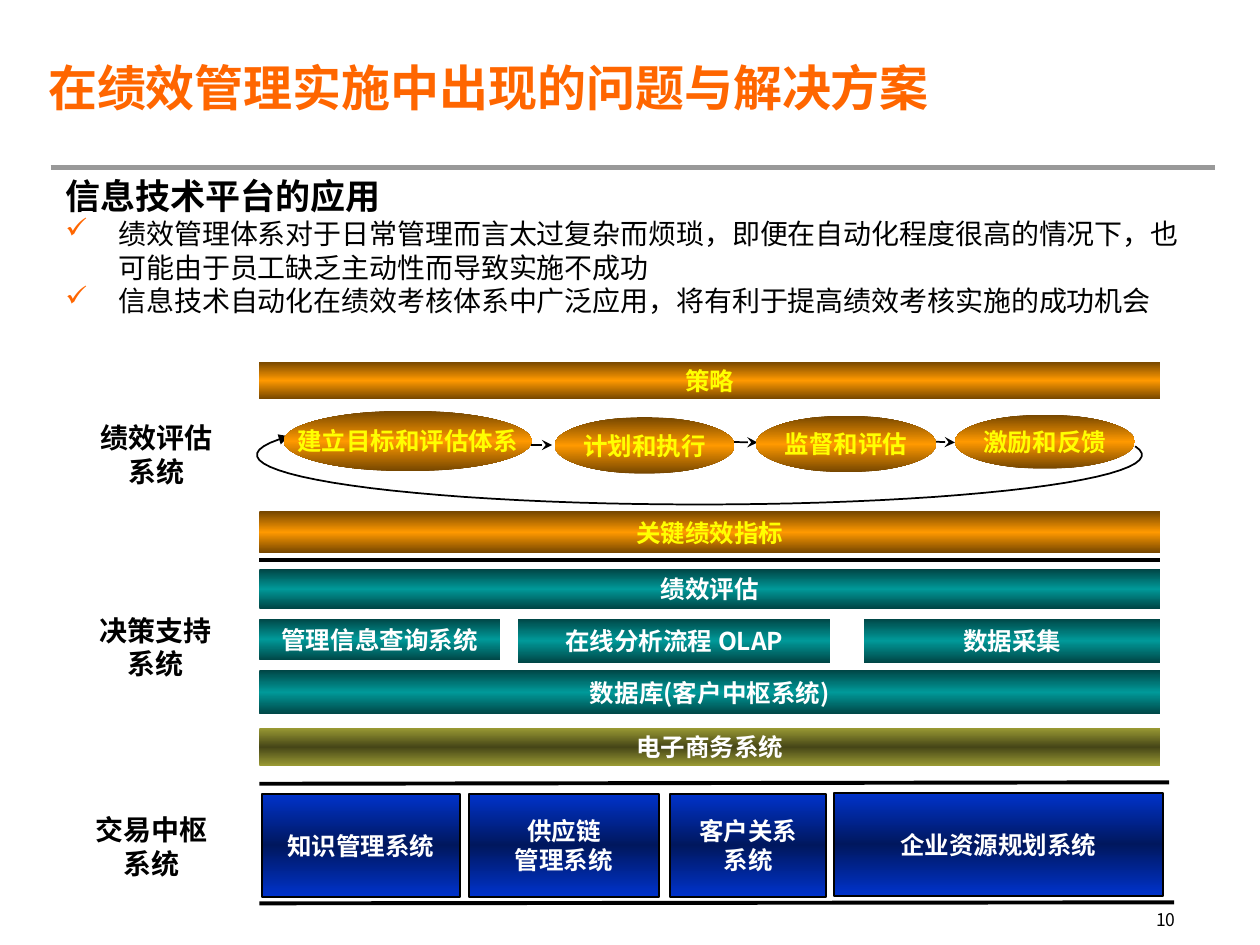
import copy
import math
from dataclasses import dataclass

import pptx
import pptx.dml.color
import pptx.enum.shapes
import pptx.enum.text
import pptx.oxml.ns
import pptx.util
from lxml import etree
from pptx.util import Cm, Pt

SHAPE = pptx.enum.shapes.MSO_SHAPE
ALIGN = pptx.enum.text.PP_ALIGN
ANCHOR = pptx.enum.text.MSO_ANCHOR
qn = pptx.oxml.ns.qn


@dataclass(frozen=True)
class Theme:
    font: str = "Noto Sans CJK SC"
    latin: str = "Arial"
    accent: str = "FF6600"
    rule: str = "999999"
    ink: str = "000000"
    white: str = "FFFFFF"
    yellow: str = "FFFF00"
    orange: tuple = ("754600", "FF9900", "754600")
    teal: tuple = ("004646", "009999", "004646")
    olive: tuple = ("999933", "464617", "999933")
    blue: tuple = ("0033CC", "00175E", "0033CC")
    title_size: int = 28
    heading_size: int = 20
    body_size: int = 16
    block_size: int = 14
    number_size: int = 10


THEME = Theme()
BAND_LEFT, BAND_WIDTH = 5.23, 18.16


def rgb(value):
    return pptx.dml.color.RGBColor.from_string(value)


def write(frame, text, *, size, color=THEME.ink, bold=False, font=THEME.font,
          align=None, anchor=ANCHOR.TOP, wrap=True):
    """Fill a text frame, one paragraph for each line of text."""
    frame.word_wrap = wrap
    frame.vertical_anchor = anchor
    frame.text = text
    for para in frame.paragraphs:
        para.alignment = align
        para.space_before = Pt(0)
        for span in para.runs:
            style_span(span, size, color, bold, font)


def style_span(span, size, color, bold, font):
    span.font.size = Pt(size)
    span.font.bold = bold
    span.font.name = font
    span.font.color.rgb = rgb(color)
    east_asian = etree.SubElement(span.font._element, qn("a:ea"))
    east_asian.set("typeface", THEME.font)


def add_text(slide, left, top, width, height, text, **style):
    box = slide.shapes.add_textbox(Cm(left), Cm(top), Cm(width), Cm(height))
    write(box.text_frame, text, **style)
    return box


def hang(para, bullet=None):
    """Give a paragraph a hanging indent and, if wanted, a bullet."""
    props = para._p.get_or_add_pPr()
    props.set("marL", str(Cm(1.07)))
    props.set("indent", str(-Cm(1.07)))
    if bullet:
        color = etree.SubElement(props, qn("a:buClr"))
        etree.SubElement(color, qn("a:srgbClr")).set("val", THEME.accent)
        etree.SubElement(props, qn("a:buChar")).set("char", bullet)


def fill_gradient(shape, colors):
    """Blend three colours evenly from top to bottom."""
    shape.fill.gradient()
    shape.fill.gradient_angle = 270
    stop_list = shape._element.spPr.find(".//" + qn("a:gsLst"))
    stop_list.insert(1, copy.deepcopy(stop_list[0]))
    for index, (stop, color) in enumerate(zip(shape.fill.gradient_stops, colors)):
        stop.position = index / 2
        stop.color.rgb = rgb(color)


def add_block(slide, left, top, width, height, text, colors,
              kind=SHAPE.RECTANGLE, color=THEME.white, outlined=False):
    block = slide.shapes.add_shape(kind, Cm(left), Cm(top), Cm(width), Cm(height))
    block.shadow.inherit = False
    fill_gradient(block, colors)
    if outlined:
        block.line.color.rgb = rgb(THEME.ink)
        block.line.width = Pt(1)
    else:
        block.line.fill.background()
    write(block.text_frame, text, size=THEME.block_size, color=color, bold=True,
          align=ALIGN.CENTER, anchor=ANCHOR.MIDDLE, wrap=False)


def add_arrowhead(shape, kind):
    etree.SubElement(shape.line._get_or_add_ln(), qn("a:tailEnd")).set("type", kind)


def add_line(slide, x1, y1, x2, y2, width, color=THEME.ink, head=None):
    line = slide.shapes.add_connector(
        pptx.enum.shapes.MSO_CONNECTOR.STRAIGHT, Cm(x1), Cm(y1), Cm(x2), Cm(y2))
    line.line.color.rgb = rgb(color)
    line.line.width = Pt(width)
    if head:
        add_arrowhead(line, head)
    etree.SubElement(line._element.spPr, qn("a:effectLst"))


def add_feedback_loop(slide):
    """Draw the open oval that leads from the last step back to the first."""
    points = []
    for degrees in range(-10, 203, 4):
        angle = math.radians(degrees)
        points.append((Cm(14.1 + 8.92 * math.cos(angle)), Cm(9.17 + math.sin(angle))))
    builder = slide.shapes.build_freeform(*points[0])
    builder.add_line_segments(points[1:], close=False)
    loop = builder.convert_to_shape()
    loop.shadow.inherit = False
    loop.fill.background()
    loop.line.color.rgb = rgb(THEME.ink)
    loop.line.width = Pt(1)
    add_arrowhead(loop, "triangle")


def add_header(slide):
    title = slide.shapes.title
    title.left, title.top, title.width, title.height = Cm(0.84), Cm(0.48), Cm(22.94), Cm(2.54)
    frame = title.text_frame
    frame.margin_left = frame.margin_right = Cm(0.13)
    write(frame, "在绩效管理实施中出现的问题与解决方案", size=THEME.title_size,
          color=THEME.accent, bold=True, font=THEME.latin, align=ALIGN.LEFT,
          anchor=ANCHOR.MIDDLE)
    add_line(slide, 1.02, 3.38, 24.49, 3.38, 2.5, THEME.rule)
    add_text(slide, 23.06, 18.21, 2.18, 0.76, "10", size=THEME.number_size, wrap=False)


def add_introduction(slide):
    box = add_text(
        slide, 1.07, 2.97, 23.5, 3.56,
        "信息技术平台的应用\n"
        "绩效管理体系对于日常管理而言太过复杂而烦琐，即便在自动化程度很高的情况下，"
        "也可能由于员工缺乏主动性而导致实施不成功\n"
        "信息技术自动化在绩效考核体系中广泛应用，将有利于提高绩效考核实施的成功机会",
        size=THEME.body_size)
    heading, *points = box.text_frame.paragraphs
    heading.line_spacing = 1.5
    heading.runs[0].font.size = Pt(THEME.heading_size)
    heading.runs[0].font.bold = True
    hang(heading)
    for para in points:
        hang(para, "✓")


def add_cycle(slide):
    for x1, y1, x2, y2 in ((9.65, 8.97, 11.13, 8.97), (13.79, 8.89, 15.27, 8.92),
                           (18.47, 8.89, 19.25, 8.92)):
        add_line(slide, x1, y1, x2, y2, 1, head="stealth")
    add_feedback_loop(slide)
    for left, top, width, height, text in (
            (5.72, 8.28, 5, 1.22, "建立目标和评估体系"),
            (11.18, 8.41, 3.63, 1.14, "计划和执行"),
            (15.24, 8.38, 3.63, 1.14, "监督和评估"),
            (19.25, 8.36, 3.63, 1.09, "激励和反馈")):
        add_block(slide, left, top, width, height, text, THEME.orange,
                  SHAPE.OVAL, THEME.yellow)


def add_layers(slide):
    for top, height, text, colors, color in (
            (7.29, 0.76, "策略", THEME.orange, THEME.yellow),
            (10.31, 0.84, "关键绩效指标", THEME.orange, THEME.yellow),
            (11.48, 0.79, "绩效评估", THEME.teal, THEME.white),
            (13.51, 0.89, "数据库(客户中枢系统)", THEME.teal, THEME.white),
            (14.68, 0.76, "电子商务系统", THEME.olive, THEME.white)):
        add_block(slide, BAND_LEFT, top, BAND_WIDTH, height, text, colors, color=color)
    for left, width, height, text in ((BAND_LEFT, 4.85, 0.84, "管理信息查询系统"),
                                      (10.44, 6.3, 0.89, "在线分析流程 OLAP"),
                                      (17.42, 5.97, 0.89, "数据采集")):
        add_block(slide, left, 12.47, width, height, text, THEME.teal)
    for left, top, width, text in ((5.28, 16, 3.99, "知识管理系统"),
                                   (9.45, 16, 3.84, "供应链\n管理系统"),
                                   (13.51, 16, 3.15, "客户关系\n系统"),
                                   (16.81, 15.98, 6.63, "企业资源规划系统")):
        add_block(slide, left, top, width, 2.08, text, THEME.blue, outlined=True)
    for y1, x2, y2 in ((11.28, 23.39, 11.28), (15.8, 23.57, 15.77), (18.21, 23.67, 18.19)):
        add_line(slide, BAND_LEFT, y1, x2, y2, 2.25)
    for left, top, width, text in ((0.94, 8.36, 4.42, "绩效评估\n系统"),
                                   (1.09, 12.24, 4.09, "决策支持\n系统"),
                                   (0.2, 16.26, 5.72, "交易中枢\n系统")):
        add_text(slide, left, top, width, 1.6, text, size=THEME.body_size,
                 bold=True, align=ALIGN.CENTER)


def main():
    deck = pptx.Presentation()
    deck.slide_width, deck.slide_height = Cm(25.4), Cm(19.05)
    slide = deck.slides.add_slide(deck.slide_layouts[5])
    add_header(slide)
    add_introduction(slide)
    add_cycle(slide)
    add_layers(slide)
    deck.save("out.pptx")


if __name__ == "__main__":
    main()
